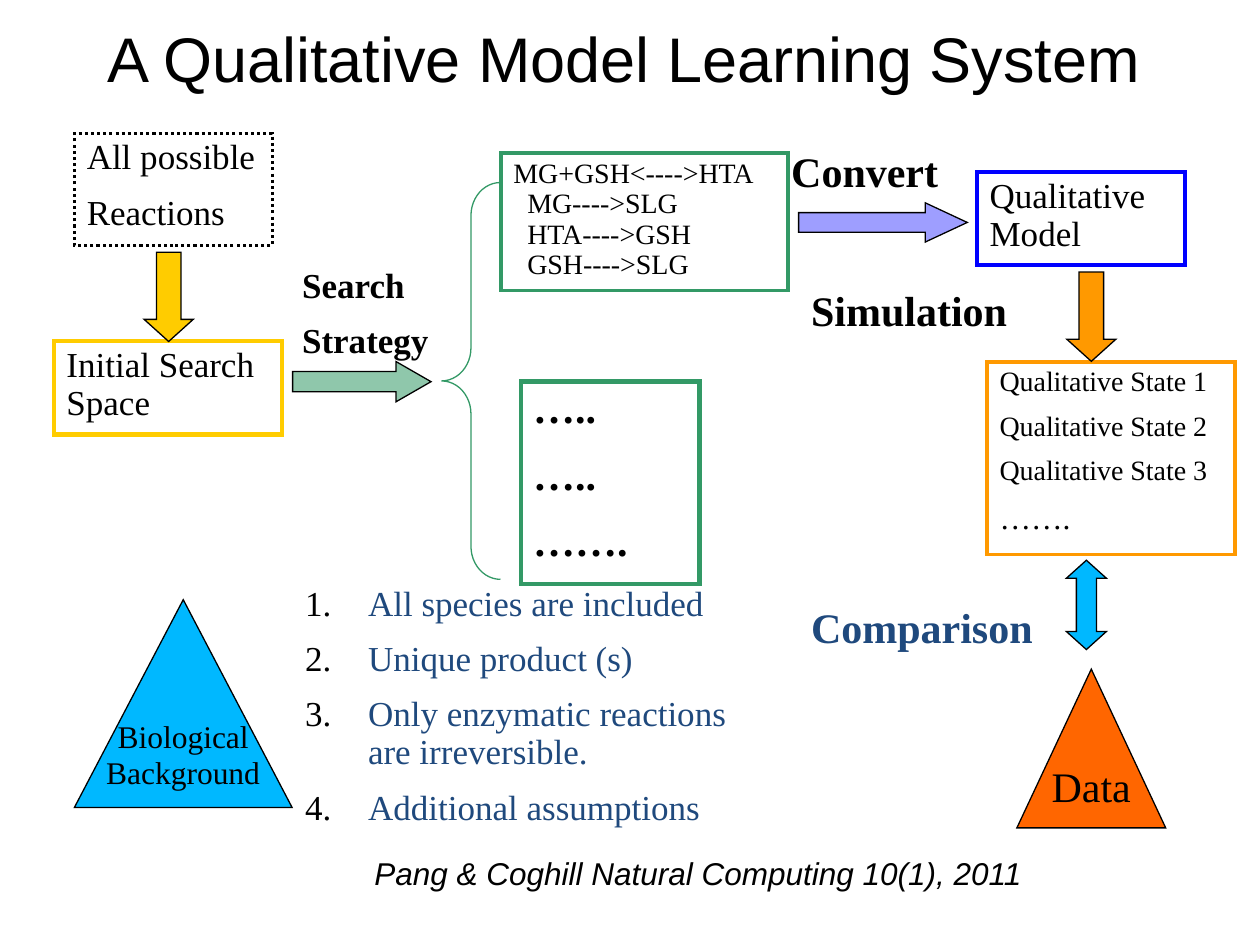
from dataclasses import dataclass, field

from lxml import etree
from pptx import Presentation
from pptx.dml.color import RGBColor
from pptx.enum.dml import MSO_LINE
from pptx.enum.shapes import MSO_SHAPE
from pptx.enum.text import MSO_ANCHOR, PP_ALIGN
from pptx.oxml.ns import qn
from pptx.util import Cm, Pt

RECT, TRIANGLE, BRACE = MSO_SHAPE.RECTANGLE, MSO_SHAPE.ISOSCELES_TRIANGLE, MSO_SHAPE.LEFT_BRACE
ARROW, TWO_WAY = MSO_SHAPE.RIGHT_ARROW, MSO_SHAPE.LEFT_RIGHT_ARROW
LEFT, CENTER = PP_ALIGN.LEFT, PP_ALIGN.CENTER
TOP, MIDDLE = MSO_ANCHOR.TOP, MSO_ANCHOR.MIDDLE
DOTTED = MSO_LINE.ROUND_DOT

COLORS = {
    "black": "000000", "navy": "1F497D", "yellow": "FFCC00", "green": "339966",
    "blue": "0000FF", "orange": "FF9900", "red": "FF6600", "sky": "00B8FF",
}
SERIF, SANS = "Times New Roman", "Arial"


@dataclass
class Node:
    """A shape with its outline, fill and text; lengths in centimetres."""
    kind: MSO_SHAPE
    at: tuple
    line: str = "black"
    width: float = 0.75
    fill: str = ""
    opacity: int = 100
    adjust: tuple = ()
    turn: int = 0
    dash: MSO_LINE = None
    lines: tuple = ()
    style: dict = field(default_factory=dict)


@dataclass
class Label:
    """A free text box; lengths in centimetres."""
    at: tuple
    lines: tuple
    style: dict


def rgb(name: str) -> RGBColor:
    """Look up a named colour."""
    return RGBColor.from_string(COLORS[name])


def number(p) -> None:
    """Give a paragraph a black automatic number and a hanging indent."""
    pPr = p._p.get_or_add_pPr()
    pPr.set("marL", str(Cm(1.27)))
    pPr.set("indent", str(-Cm(1.27)))
    color = etree.SubElement(pPr, qn("a:buClr"))
    etree.SubElement(color, qn("a:srgbClr"), val=COLORS["black"])
    etree.SubElement(pPr, qn("a:buAutoNum"), type="arabicPeriod")


def write(tf, lines: tuple, *, size: float = 20, font: str = SERIF, color: str = "black",
          bold: bool = False, italic: bool = False, align: PP_ALIGN = LEFT,
          anchor: MSO_ANCHOR = TOP, spacing: float = 0.9, gap: float = 0.5,
          wrap: bool = True, numbered: bool = False, indent: float = 0,
          last_size: float = 0) -> None:
    """Fill a text frame; gap is a share of the size, indent skips the first line."""
    tf.word_wrap = wrap
    tf.vertical_anchor = anchor
    for i, text in enumerate(lines):
        p = tf.paragraphs[0] if i == 0 else tf.add_paragraph()
        pt = last_size if last_size and i == len(lines) - 1 else size
        p.alignment = align
        p.line_spacing = spacing
        if i:
            p.space_before = Pt(pt * gap)
        if i and indent:
            p._p.get_or_add_pPr().set("marL", str(Cm(indent)))
        if numbered:
            number(p)
        r = p.add_run()
        r.text = text
        r.font.name, r.font.size = font, Pt(pt)
        r.font.bold, r.font.italic = bold, italic
        r.font.color.rgb = rgb(color)


def draw_node(s, node: Node) -> None:
    """Draw one shape with sharp corners."""
    sp = s.shapes.add_shape(node.kind, *map(Cm, node.at))
    sp.shadow.inherit = False
    sp.rotation = node.turn
    for i, value in enumerate(node.adjust):
        sp.adjustments[i] = value
    sp.line.color.rgb = rgb(node.line)
    sp.line.width = Pt(node.width)
    if node.dash is not None:
        sp.line.dash_style = node.dash
    etree.SubElement(sp._element.spPr.find(qn("a:ln")), qn("a:miter"), lim="800000")
    if node.fill:
        sp.fill.solid()
        sp.fill.fore_color.rgb = rgb(node.fill)
        if node.opacity < 100:
            color = sp._element.spPr.find(qn("a:solidFill"))[0]
            etree.SubElement(color, qn("a:alpha"), val=str(node.opacity * 1000))
    else:
        sp.fill.background()
    if node.lines:
        write(sp.text_frame, node.lines, **node.style)


def draw_label(s, label: Label) -> None:
    """Draw one text box."""
    sp = s.shapes.add_textbox(*map(Cm, label.at))
    write(sp.text_frame, label.lines, **label.style)


def down_arrow(left: float, top: float, fill: str) -> Node:
    """Make a block arrow turned to point down."""
    return Node(ARROW, (left, top, 1.8, 0.99), fill=fill, adjust=(0.5, 0.45), turn=90)


HEADING = {"size": 24, "bold": True}
IN_TRIANGLE = {"align": CENTER, "anchor": MIDDLE, "spacing": 0.95, "gap": 0, "wrap": False}

ITEMS = (
    Label((1.78, -0.43, 21.59, 3.18), ("A Qualitative Model Learning System",),
          {"size": 36, "font": SANS, "align": CENTER, "anchor": MIDDLE, "spacing": 1}),
    Node(RECT, (1.09, 6.88, 4.6, 1.88), "yellow", 2.5, lines=("Initial Search Space",)),
    Node(ARROW, (5.9, 7.29, 2.79, 0.81), fill="green", opacity=55, adjust=(0.5, 0.87)),
    Node(BRACE, (8.9, 3.68, 1.19, 8), "green", adjust=(0.56, 0.5)),
    Node(RECT, (10.1, 3.09, 5.79, 2.77), "green", 2,
         lines=("MG+GSH<---->HTA", "MG---->SLG", "HTA---->GSH", "GSH---->SLG"),
         style={"size": 16, "gap": 0, "indent": 0.28}),
    Node(RECT, (10.5, 7.69, 3.6, 4.09), "green", 2.5,
         lines=("…..", "…..", "……."), style=HEADING),
    Node(ARROW, (16.1, 4.09, 3.4, 0.79), fill="blue", opacity=38, adjust=(0.5, 1.07)),
    Node(RECT, (19.9, 7.29, 5, 3.89), "orange", 2.25,
         lines=(*(f"Qualitative State {i}" for i in (1, 2, 3)), "……."),
         style={"size": 16, "last_size": 18}),
    Label((16.1, 5.72, 5, 1.17), ("Simulation",), HEADING),
    Label((16.1, 12.12, 5.38, 1.17), ("Comparison",), {**HEADING, "color": "navy"}),
    Node(TWO_WAY, (21, 11.79, 1.8, 0.81), fill="sky", adjust=(0.5, 0.45), turn=90),
    Label((5.9, 11.69, 9.19, 6.83),
          ("All species are included", "Unique product (s)",
           "Only enzymatic reactions are irreversible.", "Additional assumptions"),
          {"color": "navy", "numbered": True}),
    Node(TRIANGLE, (20.5, 13.49, 3, 3.2), fill="red", lines=("Data",),
         style={**IN_TRIANGLE, "size": 24}),
    Label((15.7, 2.92, 3.81, 1.17), ("Convert",), HEADING),
    Node(RECT, (19.7, 3.47, 4.19, 1.88), "blue", 2.5, lines=("Qualitative Model",)),
    down_arrow(21.1, 5.89, "orange"),
    Node(RECT, (1.5, 2.69, 3.99, 2.26), width=1.75, dash=DOTTED,
         lines=("All possible", "Reactions")),
    down_arrow(2.5, 5.49, "yellow"),
    Label((5.84, 5.28, 3.5, 2.21), ("Search", "Strategy"), {"bold": True}),
    Node(TRIANGLE, (1.5, 12.09, 4.39, 4.19), fill="sky", lines=("Biological", "Background"),
         style={**IN_TRIANGLE, "size": 18}),
    Label((7.3, 17.09, 15.21, 1.02), ("Pang & Coghill Natural Computing 10(1), 2011",),
          {"size": 18, "font": SANS, "italic": True, "spacing": 1}),
)


def main() -> None:
    """Build and save the slide."""
    prs = Presentation()
    prs.slide_width, prs.slide_height = Cm(25.4), Cm(19.05)
    s = prs.slides.add_slide(prs.slide_layouts[6])
    for item in ITEMS:
        if isinstance(item, Node):
            draw_node(s, item)
        else:
            draw_label(s, item)
    prs.save("out.pptx")


main()
